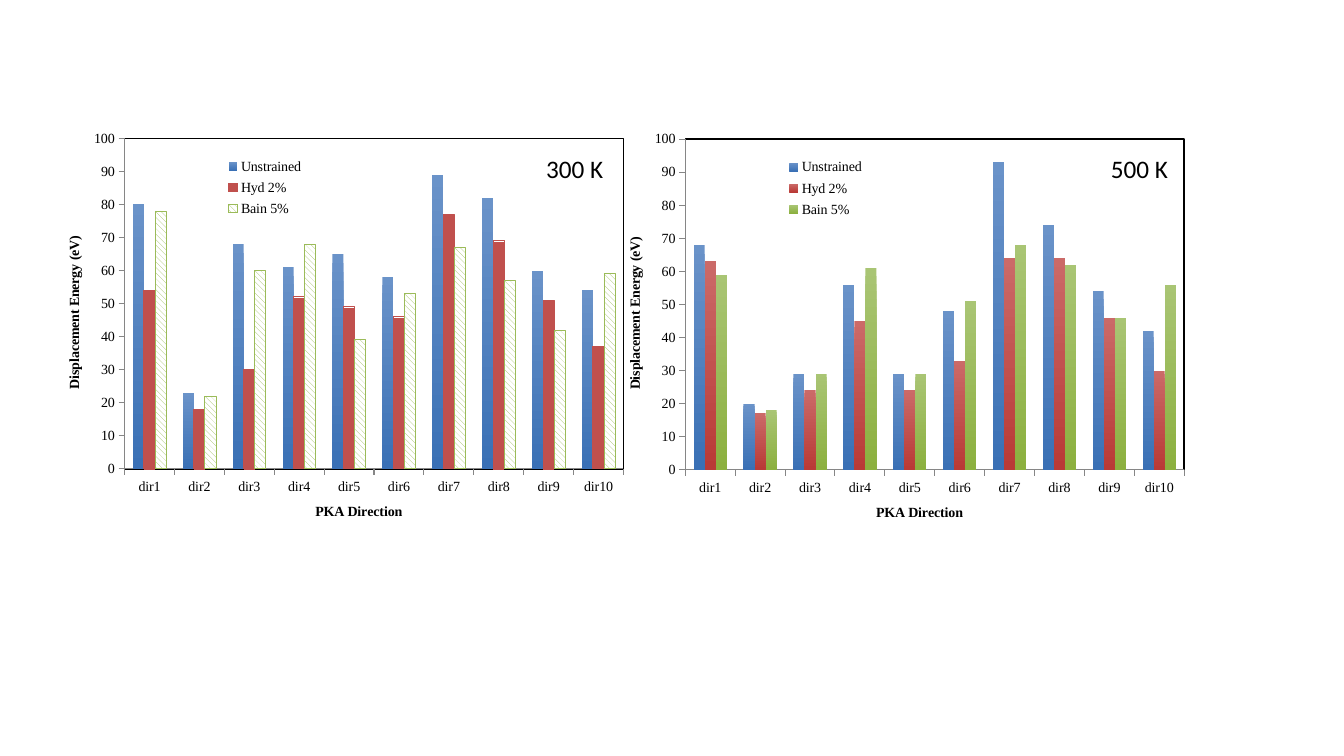
import pptx
import pptx.chart.data
import pptx.dml.color
import pptx.enum.chart
import pptx.enum.dml
import pptx.enum.text
import pptx.oxml
import pptx.oxml.ns
import pptx.util

Cm = pptx.util.Cm
Pt = pptx.util.Pt
rgb = pptx.dml.color.RGBColor.from_string
pattern = pptx.enum.dml.MSO_PATTERN

theme = {
    "ink": rgb("000000"),
    "paper": rgb("FFFFFF"),
    "axis": rgb("868686"),
    "strain": [rgb("4F81BD"), rgb("C0504D"), rgb("9BBB59")],
    "light": [rgb("6A93C9"), rgb("CB6A68"), rgb("A9C574")],
    "dark": [rgb("3A70B5"), rgb("B93A36"), rgb("8CB03F")],
    "chart_font": "Times New Roman",
    "label_font": "Calibri",
    "chart_size": Pt(10),
    "label_size": Pt(18),
}

directions = [f"dir{number}" for number in range(1, 11)]
strains = ["Unstrained", "Hyd 2%", "Bain 5%"]
temperatures = [
    {
        "label": "500 K", "chart_at": (15.7, 3.07), "label_left": 27.51,
        "patterns": [None, None, None],
        "energies": [
            [68, 20, 29, 56, 29, 48, 93, 74, 54, 42],
            [63, 17, 24, 45, 24, 33, 64, 64, 46, 30],
            [59, 18, 29, 61, 29, 51, 68, 62, 46, 56],
        ],
    },
    {
        "label": "300 K", "chart_at": (1.57, 3.05), "label_left": 13.28,
        "patterns": [None, pattern.DARK_HORIZONTAL, pattern.WIDE_DOWNWARD_DIAGONAL],
        "energies": [
            [80, 23, 68, 61, 65, 58, 89, 82, 60, 54],
            [54, 18, 30, 52, 49, 46, 77, 69, 51, 37],
            [78, 22, 60, 68, 39, 53, 67, 57, 42, 59],
        ],
    },
]


def apply(target, values):
    for key, value in values.items():
        setattr(target, key, value)


def manual_layout(x, y, w, h, inner=False):
    target = '<c:layoutTarget val="inner"/>' if inner else ""
    return pptx.oxml.parse_xml(
        f'<c:layout {pptx.oxml.ns.nsdecls("c")}><c:manualLayout>{target}'
        '<c:xMode val="edge"/><c:yMode val="edge"/>'
        f'<c:x val="{x}"/><c:y val="{y}"/><c:w val="{w}"/><c:h val="{h}"/>'
        "</c:manualLayout></c:layout>"
    )


deck = pptx.Presentation()
apply(deck, {"slide_width": Cm(33.87), "slide_height": Cm(19.05)})
slide = deck.slides.add_slide(deck.slide_layouts[6])

for temperature in temperatures:
    energy_data = pptx.chart.data.CategoryChartData()
    energy_data.categories = directions
    for strain, energies in zip(strains, temperature["energies"]):
        energy_data.add_series(strain, energies)
    left, top = temperature["chart_at"]
    chart = slide.shapes.add_chart(
        pptx.enum.chart.XL_CHART_TYPE.COLUMN_CLUSTERED,
        Cm(left), Cm(top), Cm(15.24), Cm(10.16), energy_data,
    ).chart
    apply(chart, {"has_title": False, "has_legend": True})
    apply(chart.font, {"name": theme["chart_font"], "size": theme["chart_size"]})
    chart.font.color.rgb = theme["ink"]
    bars = chart.plots[0]
    apply(bars, {"gap_width": 150, "overlap": 0, "vary_by_categories": False})

    for index, series in enumerate(bars.series):
        hatch = temperature["patterns"][index]
        fill = series.format.fill
        if hatch:
            fill.patterned()
            fill.pattern = hatch
            fill.fore_color.rgb = theme["strain"][index]
            fill.back_color.rgb = theme["paper"]
            series.format.line.color.rgb = theme["strain"][index]
            series.format.line.width = Pt(0.75)
        else:
            fill.gradient()
            fill.gradient_angle = 270
            for stop, shade in zip(fill.gradient_stops, ("light", "dark")):
                stop.color.rgb = theme[shade][index]
            series.format.line.fill.background()

    apply(chart.value_axis, {"minimum_scale": 0, "maximum_scale": 100, "major_unit": 10})
    axes = [(chart.category_axis, "PKA Direction"), (chart.value_axis, "Displacement Energy (eV)")]
    for axis, title in axes:
        apply(axis, {
            "has_major_gridlines": False,
            "major_tick_mark": pptx.enum.chart.XL_TICK_MARK.OUTSIDE,
            "minor_tick_mark": pptx.enum.chart.XL_TICK_MARK.NONE,
        })
        axis.format.line.color.rgb = theme["axis"]
        axis.format.line.width = Pt(0.75)
        title_frame = axis.axis_title.text_frame
        title_frame.text = title
        title_font = title_frame.paragraphs[0].runs[0].font
        apply(title_font, {"name": theme["chart_font"], "size": theme["chart_size"], "bold": True})
        title_font.color.rgb = theme["ink"]

    apply(chart.legend, {
        "position": pptx.enum.chart.XL_LEGEND_POSITION.RIGHT,
        "include_in_layout": False,
    })
    plot_area = chart.element.find(".//" + pptx.oxml.ns.qn("c:plotArea"))
    legend = chart.element.find(".//" + pptx.oxml.ns.qn("c:legend"))
    for part in (plot_area, legend):
        for layout in part.findall(pptx.oxml.ns.qn("c:layout")):
            part.remove(layout)
    plot_area.insert(0, manual_layout(0.103, 0.043, 0.825, 0.82, inner=True))
    legend.find(pptx.oxml.ns.qn("c:legendPos")).addnext(manual_layout(0.25, 0.08, 0.17, 0.17))
    plot_area.append(pptx.oxml.parse_xml(
        f'<c:spPr {pptx.oxml.ns.nsdecls("c", "a")}><a:noFill/><a:ln w="12700"><a:solidFill>'
        f'<a:srgbClr val="{theme["ink"]}"/></a:solidFill></a:ln></c:spPr>'
    ))

for temperature in temperatures:
    label = slide.shapes.add_textbox(Cm(temperature["label_left"]), Cm(3.73), Cm(2.41), Cm(1.02))
    apply(label.text_frame, {
        "text": temperature["label"],
        "word_wrap": True,
        "auto_size": pptx.enum.text.MSO_AUTO_SIZE.SHAPE_TO_FIT_TEXT,
    })
    paragraph = label.text_frame.paragraphs[0]
    paragraph.alignment = pptx.enum.text.PP_ALIGN.CENTER
    label_font = paragraph.runs[0].font
    apply(label_font, {"name": theme["label_font"], "size": theme["label_size"]})
    label_font.color.rgb = theme["ink"]

deck.save("out.pptx")
